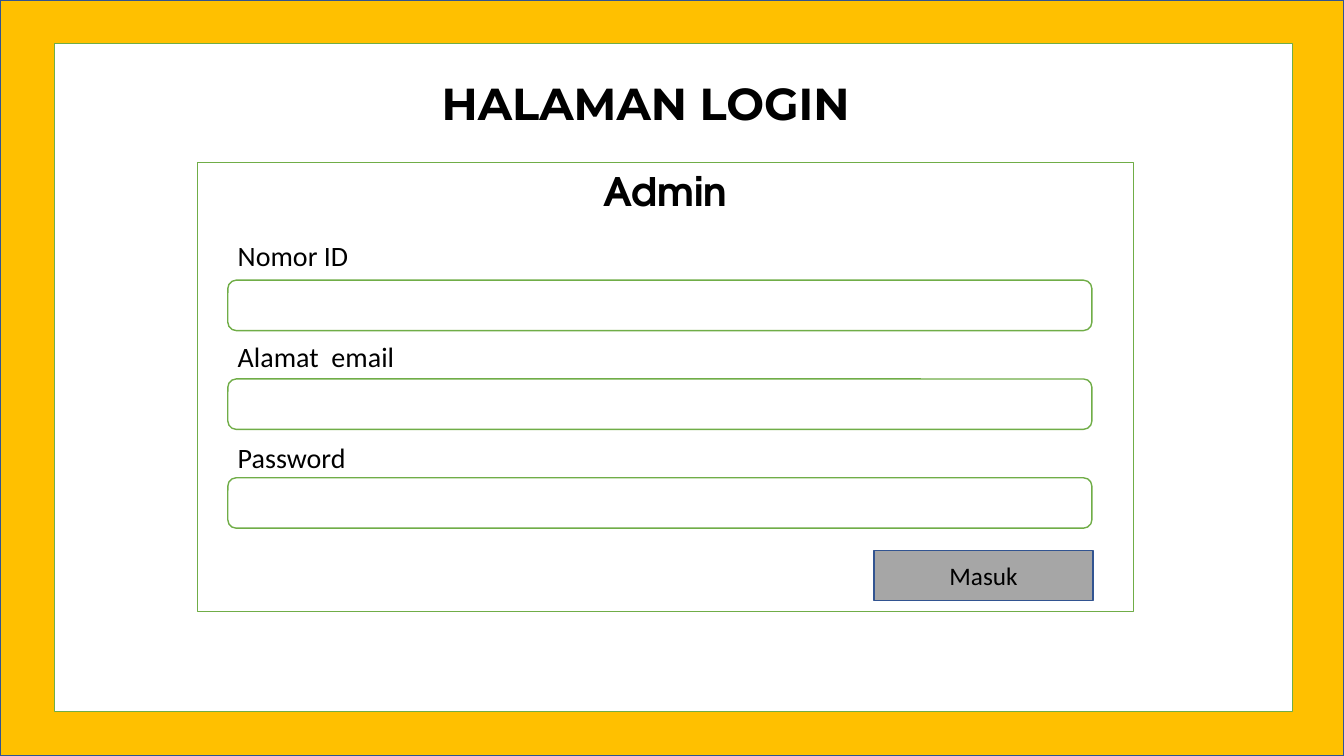
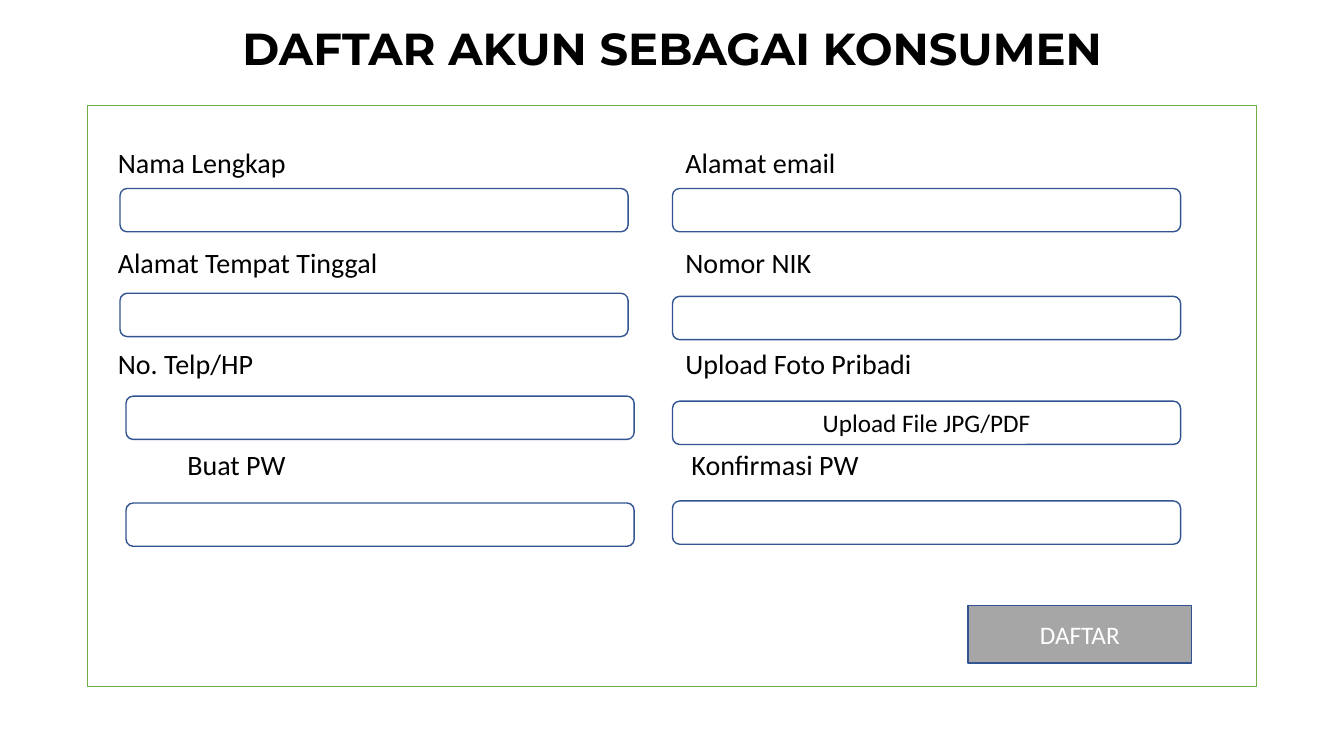
from dataclasses import dataclass

from pptx import Presentation
from pptx.dml.color import RGBColor
from pptx.enum import shapes, text
from pptx.util import Inches, Pt

BLACK, WHITE, GRAY = "000000", "FFFFFF", "A6A6A6"
YELLOW, GREEN, BLUE = "FFC000", "70AD47", "325491"
BODY_FONT, TITLE_FONT, HEADING_FONT = "Calibri", "Montserrat", "TeX Gyre Adventor"
RECTANGLE = shapes.MSO_SHAPE.RECTANGLE
ROUNDED = shapes.MSO_SHAPE.ROUNDED_RECTANGLE
TOP, MIDDLE = text.MSO_ANCHOR.TOP, text.MSO_ANCHOR.MIDDLE
LEFT, CENTER = text.PP_ALIGN.LEFT, text.PP_ALIGN.CENTER
TITLE_LAYOUT = 5
ROW_STEP = 1.0


@dataclass
class Box:
    left: float
    top: float
    width: float
    height: float

    def inner(self, left, top, width, height):
        return Box(self.left + left, self.top + top, width, height)

    def lengths(self):
        return [Inches(n) for n in (self.left, self.top, self.width, self.height)]


def color(code):
    return RGBColor.from_string(code)


def write(shape, words, size, font=BODY_FONT, ink=BLACK, bold=False,
          align=LEFT, anchor=TOP):
    frame = shape.text_frame
    frame.text = words
    frame.word_wrap = True
    frame.auto_size = text.MSO_AUTO_SIZE.NONE
    frame.vertical_anchor = anchor
    para = frame.paragraphs[0]
    para.alignment = align
    para.line_spacing = 1.0
    for span in para.runs:
        span.font.name = font
        span.font.size = Pt(size)
        span.font.bold = bold
        span.font.color.rgb = color(ink)


def add_panel(page, box, fill=WHITE, line=GREEN, kind=RECTANGLE):
    panel = page.shapes.add_shape(kind, *box.lengths())
    panel.shadow.inherit = False
    panel.fill.solid()
    panel.fill.fore_color.rgb = color(fill)
    panel.line.color.rgb = color(line)
    panel.line.width = Pt(1)
    return panel


def add_title(page, box, words, align):
    title = page.shapes.title
    title.left, title.top, title.width, title.height = box.lengths()
    write(title, words, 32, TITLE_FONT, bold=True, align=align)
    page.shapes.element.append(title.element)


def add_label(page, box, words):
    write(page.shapes.add_textbox(*box.lengths()), words, 20)


def add_field(page, box, line, words=""):
    field = add_panel(page, box, line=line, kind=ROUNDED)
    if words:
        write(field, words, 18, align=CENTER, anchor=MIDDLE)


def add_button(page, box, words, ink):
    button = add_panel(page, box, GRAY, BLUE)
    write(button, words, 18, ink=ink, align=CENTER, anchor=MIDDLE)


def add_login_form(page, box):
    panel = add_panel(page, box)
    write(panel, "Admin", 28, HEADING_FONT, bold=True, align=CENTER)
    for row, words in enumerate(("Nomor ID", "Alamat  email", "Password")):
        add_field(page, box.inner(0.3, 1.17 + row * 0.98, 8.57, 0.5), GREEN)
        add_label(page, box.inner(0.3, 0.71 + row * ROW_STEP, 2.76, 0.44), words)
    add_button(page, box.inner(6.71, 3.85, 2.17, 0.5), "Masuk", BLACK)


def add_signup_form(page, box):
    add_panel(page, box)
    left_column = (
        ("Nama Lengkap", 0.2, 0.32, 0.82, ""),
        ("Alamat Tempat Tinggal", 0.2, 0.32, 1.86, ""),
        ("No. Telp/HP", 0.2, 0.38, 2.88, ""),
        ("Buat PW", 0.89, 0.38, 3.94, ""),
    )
    right_column = (
        ("Alamat email", 5.83, 5.8, 0.82, ""),
        ("Nomor NIK", 5.83, 5.8, 1.89, ""),
        ("Upload Foto Pribadi", 5.83, 5.8, 2.93, "Upload File JPG/PDF"),
        ("Konfirmasi PW", 5.89, 5.8, 3.92, ""),
    )
    for column in (left_column, right_column):
        for row, (words, label_left, left, top, hint) in enumerate(column):
            add_field(page, box.inner(left, top, 5.04, 0.43), BLUE, hint)
            add_label(page, box.inner(label_left, 0.34 + row * ROW_STEP, 4, 0.44), words)
    add_button(page, box.inner(8.73, 4.96, 2.22, 0.57), "DAFTAR", WHITE)


def build_login(page, box):
    add_panel(page, box, YELLOW, BLUE)
    add_panel(page, box.inner(0.54, 0.43, 12.28, 6.63))
    add_title(page, box.inner(4.28, 0.7, 6.96, 0.64), "HALAMAN LOGIN", LEFT)
    add_login_form(page, box.inner(1.96, 1.61, 9.28, 4.46))


def build_signup(page, box):
    add_title(page, box.inner(0.54, 0.16, 12.26, 0.64),
              "DAFTAR AKUN SEBAGAI KONSUMEN", CENTER)
    add_signup_form(page, box.inner(0.87, 1.05, 11.59, 5.76))


def main():
    deck = Presentation()
    full_page = Box(0, 0, 13.33, 7.5)
    deck.slide_width = Inches(full_page.width)
    deck.slide_height = Inches(full_page.height)
    for build in (build_login, build_signup):
        build(deck.slides.add_slide(deck.slide_layouts[TITLE_LAYOUT]), full_page)
    deck.save("out.pptx")


if __name__ == "__main__":
    main()
